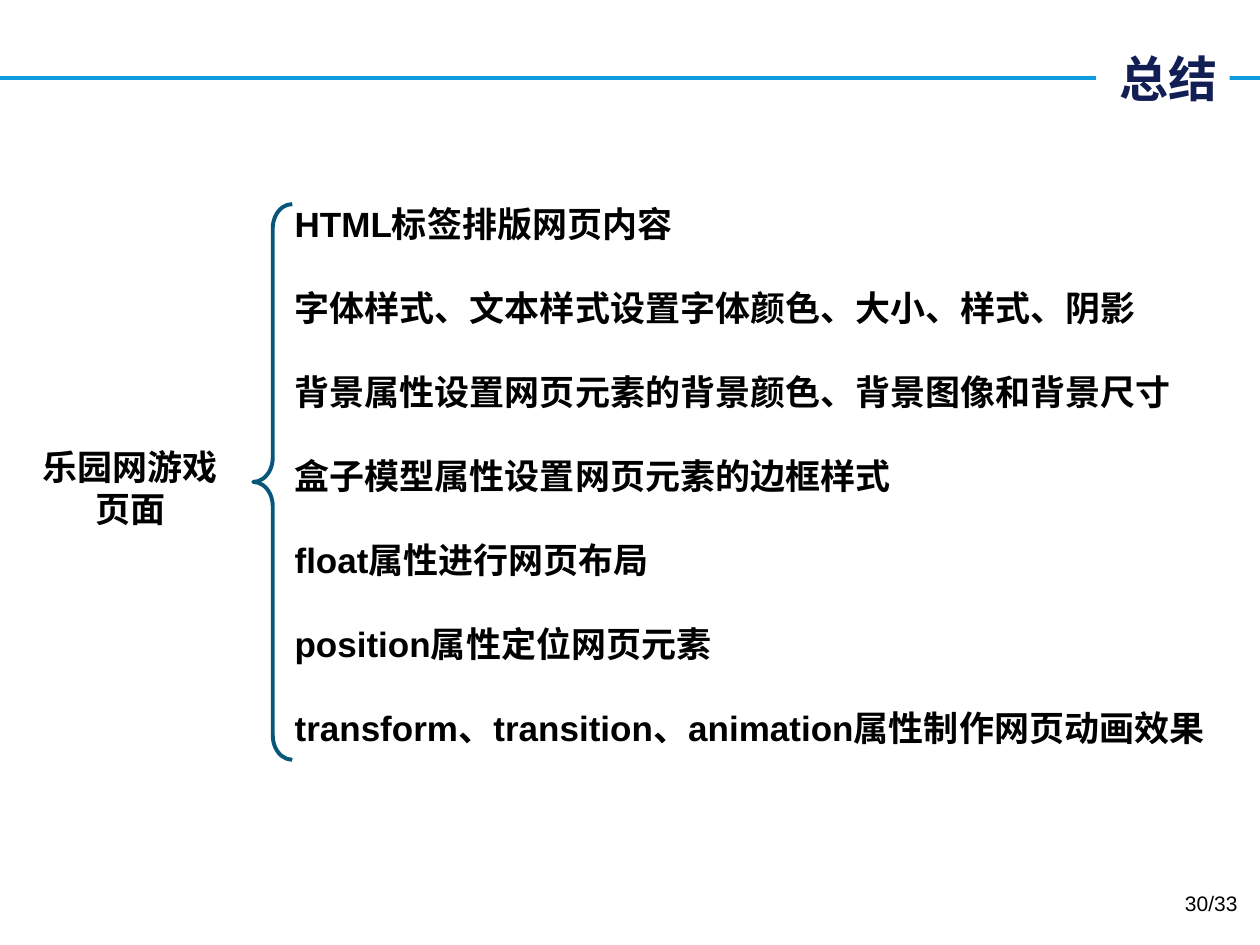
from dataclasses import dataclass
from typing import Optional

from lxml.etree import SubElement
from pptx import Presentation
from pptx.dml.color import RGBColor
from pptx.enum.shapes import MSO_CONNECTOR as Connector, MSO_SHAPE as Preset
from pptx.enum.text import MSO_ANCHOR as Anchor, PP_ALIGN as Align
from pptx.oxml.ns import qn
from pptx.util import Inches, Pt

WIDTH, HEIGHT = 10, 7.5
LATIN, CHINESE = "Arial", "Noto Sans CJK SC"
COLOURS = {
    "rule": "0E9CDE",
    "title": "121F55",
    "brace": "08577A",
    "text": "000000",
    "paper": "FFFFFF",
}
TOPICS = (
    "HTML标签排版网页内容",
    "字体样式、文本样式设置字体颜色、大小、样式、阴影",
    "背景属性设置网页元素的背景颜色、背景图像和背景尺寸",
    "盒子模型属性设置网页元素的边框样式",
    "float属性进行网页布局",
    "position属性定位网页元素",
    "transform、transition、animation属性制作网页动画效果",
)


@dataclass(frozen=True)
class Box:
    left: float
    top: float
    width: float
    height: float

    def lengths(self) -> tuple:
        return (
            Inches(self.left * WIDTH),
            Inches(self.top * HEIGHT),
            Inches(self.width * WIDTH),
            Inches(self.height * HEIGHT),
        )


@dataclass(frozen=True)
class TextBlock:
    box: Box
    lines: tuple
    size: float = 20
    bold: bool = True
    font: str = LATIN
    colour: str = "text"
    align: Align = Align.LEFT
    anchor: Anchor = Anchor.TOP
    fill: Optional[str] = None
    pitch: Optional[float] = None
    gap: float = 0


BLOCKS = (
    TextBlock(Box(0.87, 0.04, 0.106, 0.085), ("总结",), size=28, font=CHINESE,
              colour="title", align=Align.RIGHT, anchor=Anchor.MIDDLE, fill="paper"),
    TextBlock(Box(0.224, 0.208, 0.756, 0.597), TOPICS, pitch=24, gap=24),
    TextBlock(Box(0.003, 0.465, 0.201, 0.103), ("乐园网游戏", "页面"),
              align=Align.CENTER, pitch=24),
    TextBlock(Box(0.759, 0.936, 0.233, 0.053), ("30/33",), size=12, bold=False,
              align=Align.RIGHT),
)


def colour(name: str) -> RGBColor:
    return RGBColor.from_string(COLOURS[name])


def draw_rule(slide, level: float) -> None:
    top = Inches(level * HEIGHT)
    rule = slide.shapes.add_connector(Connector.STRAIGHT, 0, top, Inches(WIDTH), top)
    rule.line.color.rgb = colour("rule")
    rule.line.width = Pt(2.25)
    SubElement(rule._element.spPr, qn("a:effectLst"))


def draw_brace(slide, box: Box) -> None:
    brace = slide.shapes.add_shape(Preset.LEFT_BRACE, *box.lengths())
    brace.shadow.inherit = False
    brace.adjustments[0] = 0.62
    brace.adjustments[1] = 0.5
    brace.fill.background()
    brace.line.color.rgb = colour("brace")
    brace.line.width = Pt(2.25)


def draw_text(slide, block: TextBlock) -> None:
    shape = slide.shapes.add_textbox(*block.box.lengths())
    if block.fill:
        shape.fill.solid()
        shape.fill.fore_color.rgb = colour(block.fill)
    frame = shape.text_frame
    frame.word_wrap = True
    frame.vertical_anchor = block.anchor
    for index, line in enumerate(block.lines):
        paragraph = frame.add_paragraph() if index else frame.paragraphs[0]
        paragraph.alignment = block.align
        paragraph.space_after = Pt(block.gap)
        if block.pitch:
            paragraph.line_spacing = Pt(block.pitch)
        run = paragraph.add_run()
        run.text = line
        run.font.size = Pt(block.size)
        run.font.bold = block.bold
        run.font.name = block.font
        run.font.color.rgb = colour(block.colour)
        SubElement(run.font._element, qn("a:ea")).set("typeface", CHINESE)


def main() -> None:
    presentation = Presentation()
    presentation.slide_width = Inches(WIDTH)
    presentation.slide_height = Inches(HEIGHT)
    slide = presentation.slides.add_slide(presentation.slide_layouts[6])
    draw_rule(slide, 0.083)
    for block in BLOCKS:
        draw_text(slide, block)
    draw_brace(slide, Box(0.201, 0.216, 0.031, 0.588))
    presentation.save("out.pptx")


if __name__ == "__main__":
    main()
